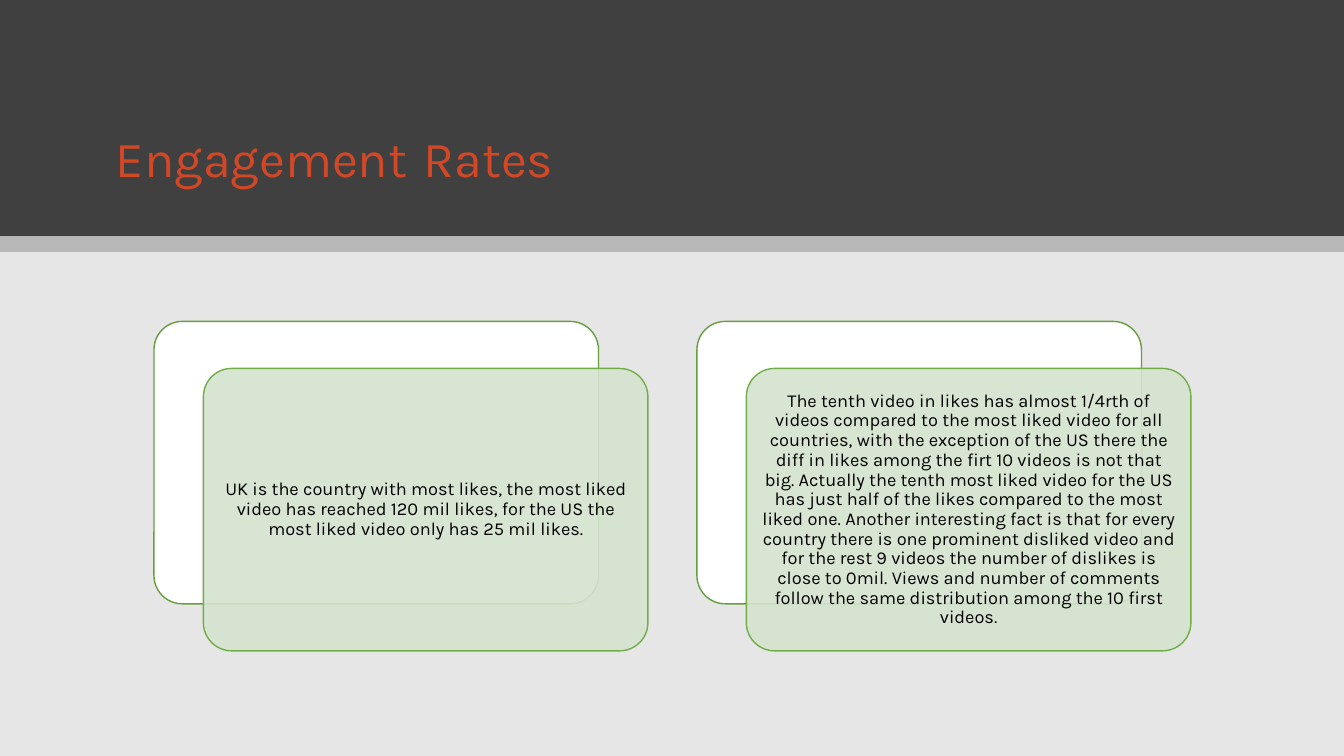
import pptx
import pptx.dml.color
import pptx.enum.shapes
import pptx.enum.text
import pptx.oxml.ns
import pptx.util
from lxml import etree

Pt = pptx.util.Pt
SHAPES = pptx.enum.shapes.MSO_SHAPE
ALIGN = pptx.enum.text.PP_ALIGN
ANCHOR = pptx.enum.text.MSO_ANCHOR

FONT = "Karla"
SLIDE_WIDTH, SLIDE_HEIGHT = 960, 540
COLOURS = {
    "page": "E7E6E6",
    "banner": "404040",
    "stripe": "000000",
    "title": "D24726",
    "title_gap": "FFFFFF",
    "back_card": "FFFFFF",
    "back_edge": "669D40",
    "front_card": "D5E3CF",
    "front_edge": "70AD47",
    "finding": "000000",
}
FINDINGS = [
    "UK is the country with most likes, the most liked video has reached 120 mil likes, "
    "for the US the most liked video only has 25 mil likes.",
    "The tenth video in likes has almost 1/4rth of videos compared to the most liked video "
    "for all countries, with the exception of the US there the diff in likes among the firt "
    "10 videos is not that big. Actually the tenth most liked video for the US has just half "
    "of the likes compared to the most liked one. Another interesting fact is that for every "
    "country there is one prominent disliked video and for the rest 9 videos the number of "
    "dislikes is close to 0mil. Views and number of comments follow the same distribution "
    "among the 10 first videos.",
]


def colour(key):
    """Return the named palette colour."""
    return pptx.dml.color.RGBColor.from_string(COLOURS[key])


def add_panel(slide, preset, box, fill, edge=None, opacity=100):
    """Add a flat filled shape in the box, with an optional edge and opacity."""
    panel = slide.shapes.add_shape(preset, *map(Pt, box))
    panel.shadow.inherit = False
    panel.fill.solid()
    panel.fill.fore_color.rgb = colour(fill)
    if opacity < 100:
        tint = panel.element.spPr.find(".//" + pptx.oxml.ns.qn("a:srgbClr"))
        etree.SubElement(tint, pptx.oxml.ns.qn("a:alpha"), val=str(opacity * 1000))
    if edge:
        panel.line.color.rgb = colour(edge)
        panel.line.width = Pt(1)
    else:
        panel.line.fill.background()
    return panel


def add_run(paragraph, words, size, key):
    """Add one run of text in the slide font."""
    run = paragraph.add_run()
    run.text = words
    run.font.name = FONT
    run.font.size = Pt(size)
    run.font.color.rgb = colour(key)


def add_header(slide, box):
    """Draw the banner, the stripe under it and the title."""
    left, top, width, height = box
    banner_height = height - 11.5
    add_panel(slide, SHAPES.RECTANGLE, (left, top, width, banner_height), "banner")
    add_panel(slide, SHAPES.RECTANGLE, (left, top + banner_height, width, 11.5),
              "stripe", opacity=20)

    title = slide.shapes.title
    title.left, title.top = Pt(left + 75.6), Pt(top + 33.8)
    title.width, title.height = Pt(809.3), Pt(107.3)
    title.element.getparent().append(title.element)
    frame = title.text_frame
    frame.auto_size = pptx.enum.text.MSO_AUTO_SIZE.NONE
    frame.word_wrap = True
    frame.vertical_anchor = ANCHOR.BOTTOM
    heading = frame.paragraphs[0]
    heading.alignment = ALIGN.LEFT
    heading.line_spacing = 0.9
    add_run(heading, "Engagement", 36, "title")
    add_run(heading, " ", 48, "title_gap")
    add_run(heading, "Rates", 36, "title")


def add_finding(slide, box, words):
    """Draw two offset cards that fill the box, with the words on the front one."""
    left, top, width, height = box
    shift_x, shift_y = 35.3, 33.6
    card_size = (width - shift_x, height - shift_y)
    back = add_panel(slide, SHAPES.ROUNDED_RECTANGLE, (left, top, *card_size),
                     "back_card", "back_edge")
    front = add_panel(slide, SHAPES.ROUNDED_RECTANGLE,
                      (left + shift_x, top + shift_y, *card_size),
                      "front_card", "front_edge", opacity=90)
    back.adjustments[0] = front.adjustments[0] = 0.1

    frame = front.text_frame
    frame.word_wrap = True
    frame.vertical_anchor = ANCHOR.MIDDLE
    frame.margin_left = frame.margin_right = Pt(3.6)
    frame.margin_top = frame.margin_bottom = Pt(3.6)
    finding = frame.paragraphs[0]
    finding.alignment = ALIGN.CENTER
    finding.line_spacing = 0.9
    add_run(finding, words, 13, "finding")


def add_findings(slide, box):
    """Set the findings side by side in equal columns across the box."""
    left, top, width, height = box
    gap = 35
    column = (width - gap * (len(FINDINGS) - 1)) / len(FINDINGS)
    for index, words in enumerate(FINDINGS):
        add_finding(slide, (left + index * (column + gap), top, column, height), words)


def main():
    """Build and save the slide."""
    deck = pptx.Presentation()
    deck.slide_width, deck.slide_height = Pt(SLIDE_WIDTH), Pt(SLIDE_HEIGHT)
    slide = deck.slides.add_slide(deck.slide_layouts[5])
    add_panel(slide, SHAPES.RECTANGLE, (0, 0, SLIDE_WIDTH, SLIDE_HEIGHT), "page")
    add_header(slide, (0, 0, SLIDE_WIDTH, 180))
    add_findings(slide, (110, 229.6, 740.7, 235.3))
    deck.save("out.pptx")


if __name__ == "__main__":
    main()
